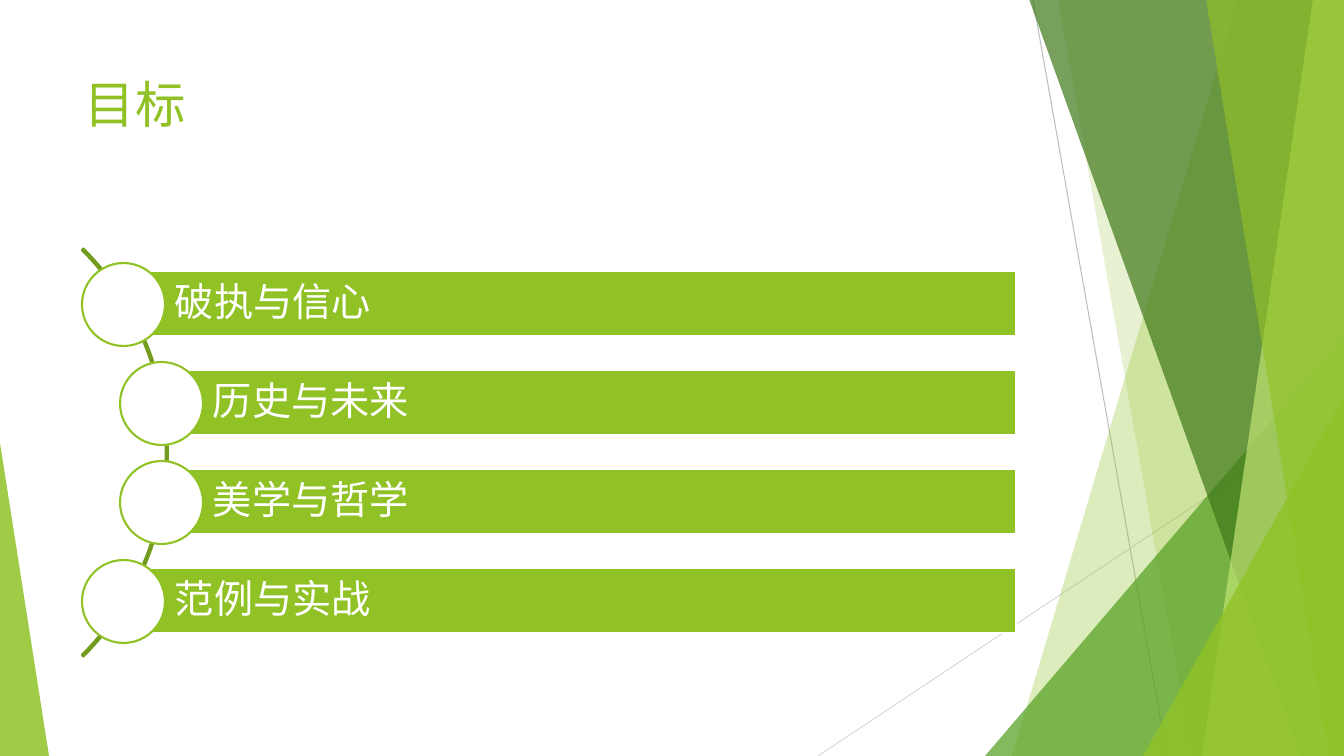
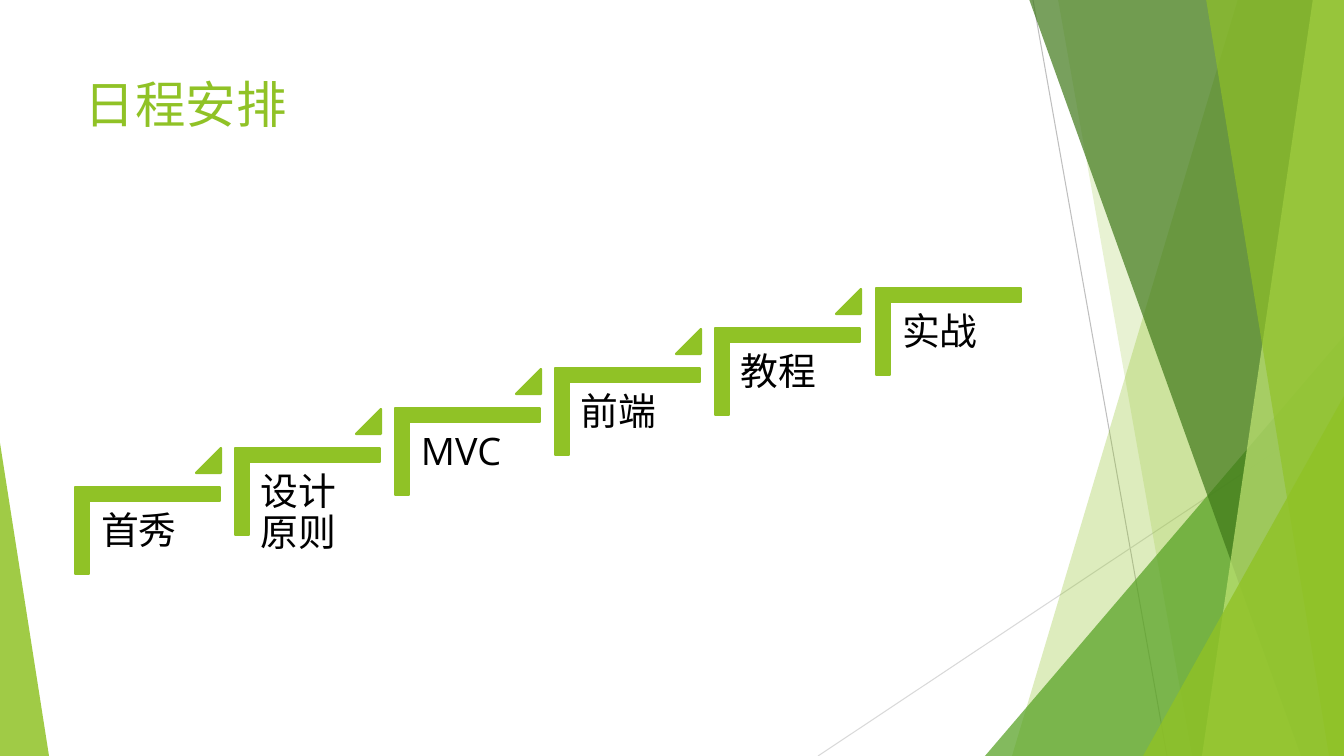
from lxml import etree
from pptx import Presentation
from pptx import util as u
from pptx.dml.color import RGBColor
from pptx.enum import shapes, text
from pptx.oxml.ns import qn

PX = 9071  # EMU in one pixel
WIDTH, HEIGHT = 1344, 756
GREEN, WHITE, BLACK = "90C226", "FFFFFF", "000000"
FONT = "Open Sans"
rgb = RGBColor.from_string
kinds = shapes.MSO_SHAPE


def paint(shape, fill=None, line=None, opacity=100):
    shape.shadow.inherit = False
    if fill:
        shape.fill.solid()
        shape.fill.fore_color.rgb = rgb(fill)
        if opacity < 100:
            colour = shape.element.spPr.find(qn("a:solidFill"))[0]
            etree.SubElement(colour, qn("a:alpha"), val=str(opacity * 1000))
    else:
        shape.fill.background()
    if line:
        shape.line.color.rgb = rgb(line)
        shape.line.width = u.Pt(1.5)
    else:
        shape.line.fill.background()


def write(shape, words, size, colour, insets, spacing=1.0, anchor=text.MSO_ANCHOR.TOP):
    frame = shape.text_frame
    frame.text = words
    frame.word_wrap = True
    frame.vertical_anchor = anchor
    frame.margin_left, frame.margin_top, frame.margin_right, frame.margin_bottom = (
        inset * PX for inset in insets)
    paragraph = frame.paragraphs[0]
    paragraph.alignment = text.PP_ALIGN.LEFT
    paragraph.line_spacing = spacing
    run = paragraph.runs[0]
    run.font.name = FONT
    run.font.size = u.Pt(size)
    run.font.color.rgb = rgb(colour)
    etree.SubElement(next(shape.element.iter(qn("a:rPr"))), qn("a:ea"), typeface=FONT)


deck = Presentation()
deck.slide_width, deck.slide_height = WIDTH * PX, HEIGHT * PX

# Shared backdrop: hairlines, then bands (top x, bottom x) reaching the right
# edge and peaks (left, top, width, tip) standing on the bottom edge
hairlines = [("BFBFBF", 1033, 0, 1167, HEIGHT), ("D9D9D9", WIDTH, 406, 818, HEIGHT)]
facets = [
    (GREEN, 30, (1238, 1012)),
    (GREEN, 20, (1058, 1192)),
    ("54A021", 72, (985, 336, 359, 1)),
    ("3F7819", 70, (1029, 1301)),
    ("C0E474", 70, (1313, 1202)),
    (GREEN, 65, (1206, 1329)),
    (GREEN, 80, (1143, 396, 201, 1)),
    (GREEN, 85, (0, 443, 49, 0)),
]
pages = []
for heading in ("目标", "日程安排"):
    page = deck.slides.add_slide(deck.slide_layouts[6])
    pages.append(page.shapes)
    for colour, *ends in hairlines:
        hairline = page.shapes.add_connector(
            shapes.MSO_CONNECTOR.STRAIGHT, *(end * PX for end in ends))
        hairline.line.color.rgb = rgb(colour)
        hairline.line.width = u.Pt(0.75)
        etree.SubElement(hairline.element.spPr, qn("a:effectLst"))
    for colour, opacity, outline in facets:
        if len(outline) == 2:
            top_x, bottom_x = outline
            pen = page.shapes.build_freeform(top_x, -1, scale=PX)
            pen.add_line_segments([(WIDTH, -1), (WIDTH, HEIGHT), (bottom_x, HEIGHT)])
            facet = pen.convert_to_shape()
        else:
            left, top, width, tip = outline
            facet = page.shapes.add_shape(
                kinds.ISOSCELES_TRIANGLE, left * PX, top * PX, width * PX, (HEIGHT - top) * PX)
            facet.adjustments[0] = tip
        paint(facet, colour, opacity=opacity)
    title = page.shapes.add_textbox(75 * PX, 68 * PX, 947 * PX, 145 * PX)
    write(title, heading, 36, GREEN, (10, 5, 10, 5))

goals_page, schedule_page = pages

# Goals: bars strung along an arc
arc = goals_page.add_shape(kinds.BLOCK_ARC, -409 * PX, 164 * PX, 577 * PX, 577 * PX)
for index, value in enumerate((189, 27, 0.004)):
    arc.adjustments[index] = value
paint(arc, line="739B1E")

goals = [("破执与信心", 123), ("历史与未来", 161), ("美学与哲学", 161), ("范例与实战", 123)]
for row, (goal, left) in enumerate(goals):
    top = 271 + 99 * row
    bar = goals_page.add_shape(
        kinds.RECTANGLE, left * PX, top * PX, (1016 - left) * PX, 65 * PX)
    paint(bar, GREEN, WHITE)
    write(bar, goal, 28, WHITE, (52, 8, 8, 8), 0.9, text.MSO_ANCHOR.MIDDLE)
    bead = goals_page.add_shape(
        kinds.OVAL, (left - 41) * PX, (top - 8) * PX, 83 * PX, 83 * PX)
    paint(bead, WHITE, GREEN)

# Schedule: a staircase of steps, with a pointer between neighbours
stages = ["首秀", "设计原则", "MVC", "前端", "教程", "实战"]
last = len(stages) - 1
for step, stage in enumerate(stages):
    left = 104 + 801 * step // last
    top = 458 - 199 * step // last
    stair = schedule_page.add_shape(
        kinds.CORNER, left * PX, top * PX, 87 * PX, 145 * PX)
    stair.rotation = 90
    stair.adjustments[0] = stair.adjustments[1] = 0.16
    paint(stair, GREEN, GREEN)
    label = schedule_page.add_textbox(
        (left - 14) * PX, (top + 43) * PX, 131 * PX, 115 * PX)
    write(label, stage, 27, BLACK, (11, 11, 11, 11), 0.9)
    if step < last:
        pointer = schedule_page.add_shape(
            kinds.ISOSCELES_TRIANGLE, (left + 92) * PX, (top - 10) * PX, 25 * PX, 25 * PX)
        pointer.adjustments[0] = 1
        paint(pointer, GREEN, GREEN)

deck.save("out.pptx")
